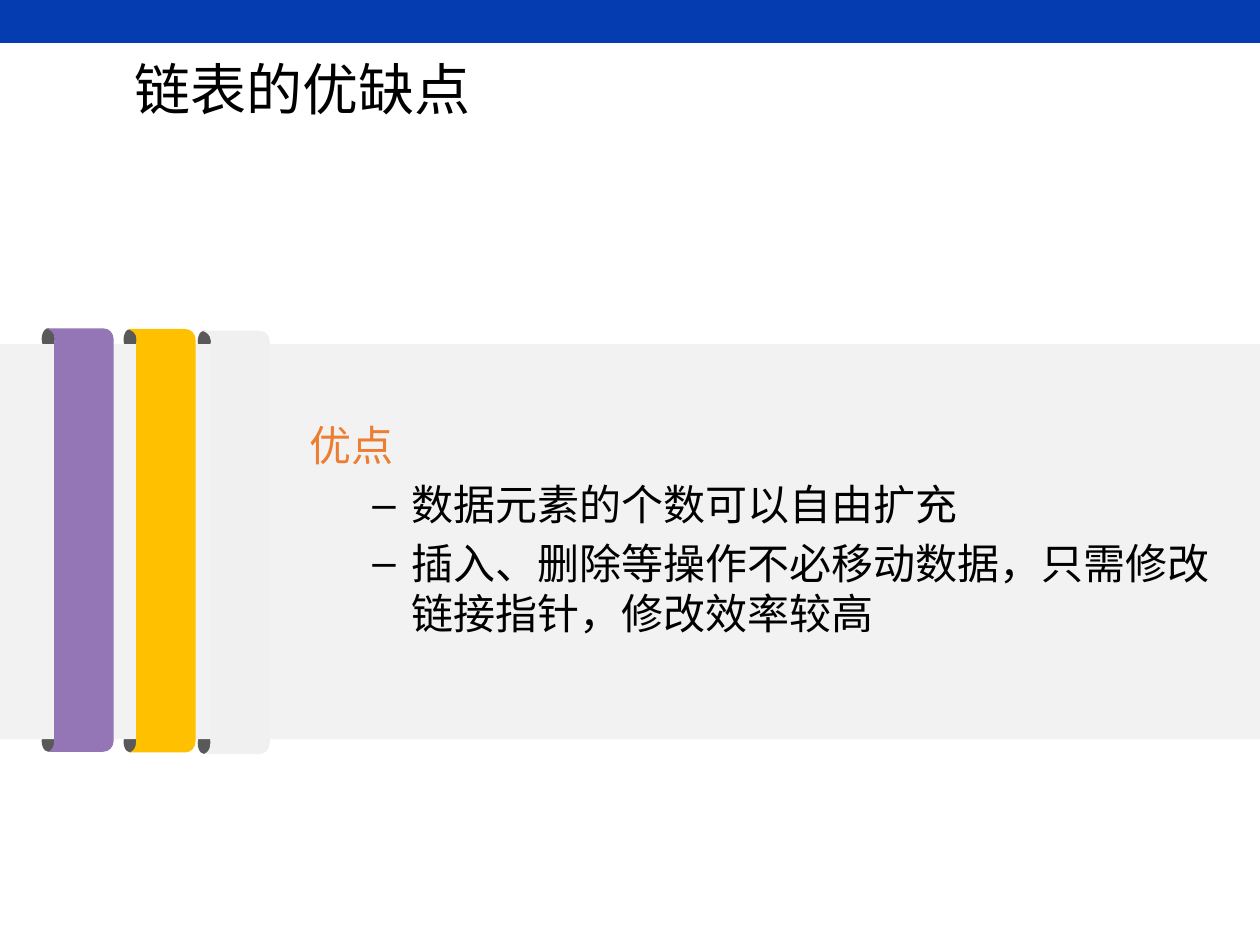
from dataclasses import dataclass

from lxml import etree
from pptx import Presentation
from pptx.dml.color import RGBColor
from pptx.enum.shapes import MSO_SHAPE
from pptx.enum.text import MSO_ANCHOR, MSO_AUTO_SIZE, PP_ALIGN
from pptx.oxml.ns import qn
from pptx.util import Pt

RECTANGLE, OVAL = MSO_SHAPE.RECTANGLE, MSO_SHAPE.OVAL
MIDDLE, TOP = MSO_ANCHOR.MIDDLE, MSO_ANCHOR.TOP
NO_AUTOFIT = MSO_AUTO_SIZE.NONE
LEFT = PP_ALIGN.LEFT

COLORS = {
    "header": "053CAF",
    "band": "F2F2F2",
    "curl": "595959",
    "purple": "9476B6",
    "yellow": "FFC000",
    "gray": "F1F0F0",
    "heading": "ED7D31",
    "text": "000000",
}
SLIDE_WIDTH, SLIDE_HEIGHT = 720, 540
RIBBON_HEIGHT = 242
CURL_WIDTH, CURL_HEIGHT = 7.5, 12.2

# Cubic curves of a ribbon, measured from the top of its straight left edge;
# straight lines join the end of each curve to the start of the next.
RIBBON_CURVES = [
    ((0, 8.6), (2.2, 0), (-7.2, 0), (-4.6, 0)),
    ((28, 0), (31.6, 0), (34, 2.9), (34, 6.5)),
    ((34, 235.5), (34, 239), (31.6, 242), (28, 242)),
    ((-3, 242), (-5.8, 242), (0, 242.5), (0, 236)),
]


@dataclass
class Ribbon:
    edge: float
    top: float
    color: str


RIBBONS = [
    Ribbon(77.8, 188, "yellow"),
    Ribbon(31, 187.6, "purple"),
    Ribbon(120.2, 188.9, "gray"),
]
ADVANTAGES = [
    "数据元素的个数可以自由扩充",
    "插入、删除等操作不必移动数据，只需修改链接指针，修改效率较高",
]


def paint(shape, color: str) -> None:
    shape.fill.solid()
    shape.fill.fore_color.rgb = RGBColor.from_string(COLORS[color])
    shape.line.fill.background()
    shape.shadow.inherit = False


def add_block(shapes, kind, left: float, top: float, width: float, height: float, color: str) -> None:
    paint(shapes.add_shape(kind, Pt(left), Pt(top), Pt(width), Pt(height)), color)


def add_curls(shapes, ribbon: Ribbon) -> None:
    """Add the dark rolled ends at the top and bottom of a ribbon."""
    for top in (ribbon.top, ribbon.top + RIBBON_HEIGHT - CURL_HEIGHT):
        add_block(shapes, OVAL, ribbon.edge - 7.2, top, CURL_WIDTH, CURL_HEIGHT, "curl")


def add_ribbon(shapes, ribbon: Ribbon) -> None:
    corners = [
        (Pt(ribbon.edge + x), Pt(ribbon.top + y))
        for start, _, _, end in RIBBON_CURVES
        for x, y in (start, end)
    ]
    builder = shapes.build_freeform(*corners[0])
    builder.add_line_segments(corners[1:], close=True)
    shape = builder.convert_to_shape()
    round_corners(shape, ribbon)
    paint(shape, ribbon.color)


def round_corners(shape, ribbon: Ribbon) -> None:
    """Turn every other line of the outline into its cubic curve."""
    lines = list(shape.element.iter(qn("a:lnTo")))
    for line, (_, *controls, _) in zip(lines[::2], RIBBON_CURVES):
        line.tag = qn("a:cubicBezTo")
        for index, (x, y) in enumerate(controls):
            point = etree.Element(qn("a:pt"))
            point.set("x", str(Pt(ribbon.edge + x) - shape.left))
            point.set("y", str(Pt(ribbon.top + y) - shape.top))
            line.insert(index, point)


def place(placeholder, left: float, top: float, width: float, height: float, anchor) -> None:
    placeholder.left, placeholder.top = Pt(left), Pt(top)
    placeholder.width, placeholder.height = Pt(width), Pt(height)
    frame = placeholder.text_frame
    frame.word_wrap = True
    frame.auto_size = NO_AUTOFIT
    frame.vertical_anchor = anchor


def format_paragraph(paragraph, size: float, font: str, color: str, space_before: float = 0) -> None:
    paragraph.alignment = LEFT
    paragraph.space_before = Pt(space_before)
    paragraph.font.size = Pt(size)
    paragraph.font.name = font
    paragraph.font.color.rgb = RGBColor.from_string(COLORS[color])


def fill_body(frame) -> None:
    heading = frame.paragraphs[0]
    heading.text = "优点"
    etree.SubElement(heading._p.get_or_add_pPr(), qn("a:buNone"))
    format_paragraph(heading, 24, "Calibri", "heading")
    for advantage in ADVANTAGES:
        item = frame.add_paragraph()
        item.text = advantage
        item.level = 1
        format_paragraph(item, 24, "Calibri", "text", space_before=4.8)


def main() -> None:
    presentation = Presentation()
    presentation.slide_width, presentation.slide_height = Pt(SLIDE_WIDTH), Pt(SLIDE_HEIGHT)
    slide = presentation.slides.add_slide(presentation.slide_layouts[1])
    shapes = slide.shapes
    title, body = shapes.title, slide.placeholders[1]

    place(title, 69.6, 23.4, 411, 54, MIDDLE)
    title.text_frame.text = "链表的优缺点"
    format_paragraph(title.text_frame.paragraphs[0], 32, "Noto Sans CJK SC", "text")

    add_block(shapes, RECTANGLE, 0, 0, SLIDE_WIDTH, 24.6, "header")
    for ribbon in RIBBONS:
        add_curls(shapes, ribbon)
    add_block(shapes, RECTANGLE, 0, 196.6, SLIDE_WIDTH, 225.8, "band")
    for ribbon in RIBBONS:
        add_ribbon(shapes, ribbon)

    place(body, 169.6, 236.2, 534, 146, TOP)
    fill_body(body.text_frame)
    # The text has to lie in front of the band.
    body.element.getparent().append(body.element)

    presentation.save("out.pptx")


if __name__ == "__main__":
    main()
